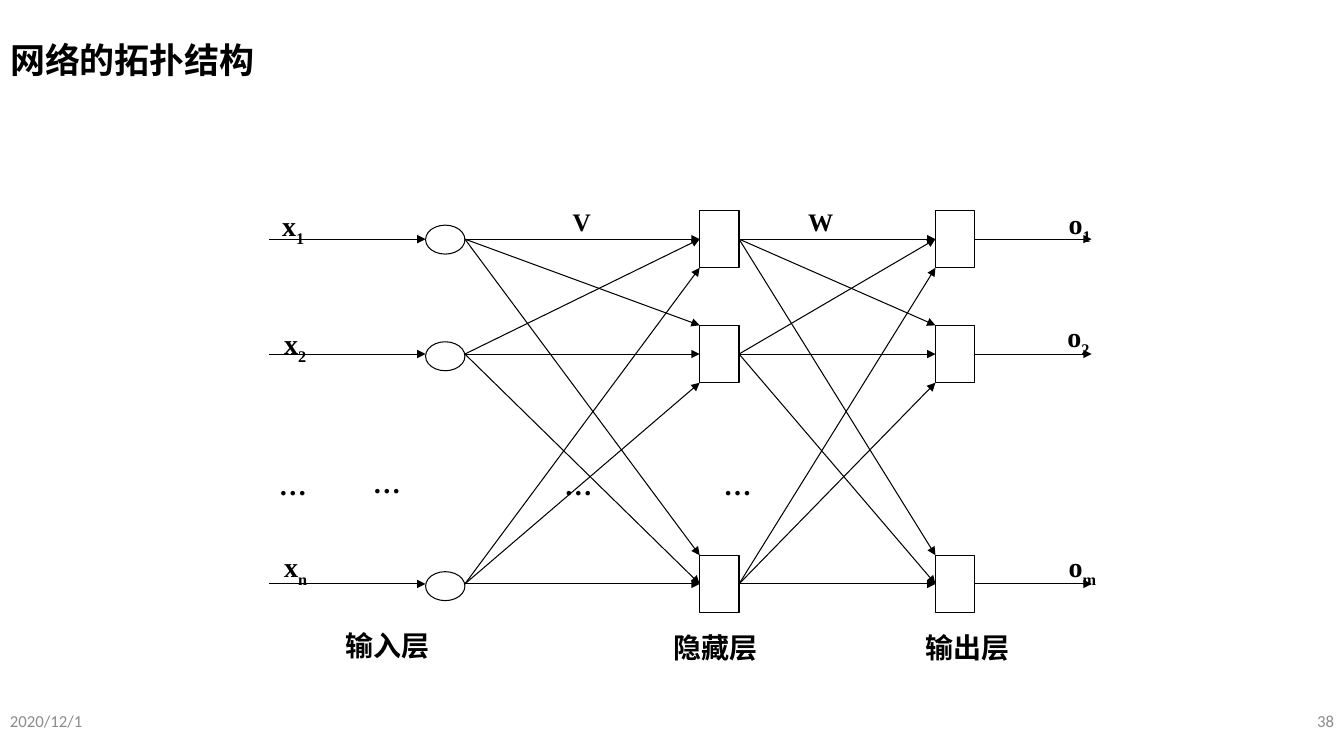
import pptx
import pptx.dml.color
import pptx.enum.shapes
import pptx.enum.text
import pptx.oxml
import pptx.oxml.ns
import pptx.util

Pt = pptx.util.Pt
SHAPE = pptx.enum.shapes.MSO_SHAPE
ALIGN = pptx.enum.text.PP_ALIGN
ANCHOR = pptx.enum.text.MSO_ANCHOR
AUTO = pptx.enum.text.MSO_AUTO_SIZE

BLACK, WHITE, GREY = "000000", "FFFFFF", "8C8C8C"
TITLE = {"name": "Times New Roman", "size": Pt(25), "bold": True}
LABEL = {"name": "Times New Roman", "size": Pt(20), "bold": True}
WEIGHT = {"name": "Times New Roman", "size": Pt(18), "bold": True}
FOOTER = {"name": "Calibri", "size": Pt(12), "bold": False}

NODE_W, NODE_H, OVAL_H = 28.1, 41, 20.7
ROW_GAP = 82.1
ROW_STEPS = (0, 1, 3)
LAYER_X = (111.8, 307.6, 476)


def rgb(color):
    return pptx.dml.color.RGBColor.from_string(color)


def set_format(target, values):
    for name, value in values.items():
        setattr(target, name, value)


def add_run(p, text, style, color=BLACK):
    r = p.add_run()
    r.text = text
    set_format(r.font, style)
    r.font.color.rgb = rgb(color)
    return r


def add_text(shapes, box, text, style, color=BLACK, sub="", align=ALIGN.LEFT, **frame):
    sp = shapes.add_textbox(*map(Pt, box))
    set_format(sp.text_frame, frame)
    p = sp.text_frame.paragraphs[0]
    p.alignment = align
    add_run(p, text, style, color)
    if sub:
        r = add_run(p, sub, style, color)
        r._r.get_or_add_rPr().set("baseline", "-30000")


def add_node(shapes, kind, x, y, w, h):
    sp = shapes.add_shape(kind, Pt(x), Pt(y), Pt(w), Pt(h))
    sp.shadow.inherit = False
    sp.fill.solid()
    sp.fill.fore_color.rgb = rgb(WHITE)
    sp.line.color.rgb = rgb(BLACK)
    sp.line.width = Pt(0.75)
    return sp


def add_arrow(shapes, x1, y1, x2, y2, start=None, end=None):
    line = shapes.add_connector(pptx.enum.shapes.MSO_CONNECTOR.STRAIGHT,
                                Pt(x1), Pt(y1), Pt(x2), Pt(y2))
    line.line.color.rgb = rgb(BLACK)
    line.line.width = Pt(0.75)
    ln = line.line._get_or_add_ln()
    pptx.oxml.ns.qn("a:tailEnd")
    head = ln.makeelement(pptx.oxml.ns.qn("a:tailEnd"), {"type": "triangle"})
    ln.append(head)
    sp_pr = line._element.spPr
    sp_pr.append(sp_pr.makeelement(pptx.oxml.ns.qn("a:effectLst"), {}))
    if start is not None:
        line.begin_connect(start, 3)
    if end is not None:
        line.end_connect(end, 1)


def add_title(s, x, y, w, h):
    sp = s.shapes.title
    set_format(sp, {"left": Pt(x), "top": Pt(y), "width": Pt(w), "height": Pt(h)})
    tf = sp.text_frame
    set_format(tf, {"vertical_anchor": ANCHOR.MIDDLE, "word_wrap": True,
                    "auto_size": AUTO.NONE})
    p = tf.paragraphs[0]
    p.alignment = ALIGN.LEFT
    add_run(p, "网络的拓扑结构", TITLE)


def add_footer(s, x, y, w, h):
    item_w = 216
    for left, text, align in ((x, "2020/12/1", ALIGN.LEFT),
                              (x + w - item_w, "38", ALIGN.RIGHT)):
        add_text(s.shapes, (left, y, item_w, h), text, FOOTER, GREY, align=align,
                 word_wrap=True, vertical_anchor=ANCHOR.MIDDLE)


def add_network(s, x, y, w):
    shapes = s.shapes.add_group_shape().shapes
    rows = [y + NODE_H / 2 + ROW_GAP * step for step in ROW_STEPS]
    layers = [x + dx for dx in LAYER_X]

    # Nodes: inputs sit slightly below their row lines
    for row, drop in zip(rows, (0.4, 1.6, 1.6)):
        add_node(shapes, SHAPE.OVAL, layers[0], row - OVAL_H / 2 + drop, NODE_W, OVAL_H)
    hidden, output = [[add_node(shapes, SHAPE.RECTANGLE, left, row - NODE_H / 2,
                                NODE_W, NODE_H) for row in rows]
                      for left in layers[1:]]

    # Arrows into the inputs and out of the outputs
    for row, node in zip(rows, output):
        add_arrow(shapes, x, row, layers[0], row)
        add_arrow(shapes, layers[2] + NODE_W, row, x + w, row, start=node)

    # Full connections: first row lands on top corners, last row on bottom corners
    for k, (sources, targets) in enumerate((([None] * 3, hidden), (hidden, output))):
        for i, source in enumerate(sources):
            for j, target in enumerate(targets):
                shift = 0 if i == j else (i - 1) * NODE_H / 2
                add_arrow(shapes, layers[k] + NODE_W, rows[i],
                          layers[k + 1], rows[j] + shift,
                          start=source, end=None if shift else target)

    # Labels, offset from the corner of the diagram
    labels = (
        (2.2, -5, 32, "x", "1"), (3.7, 79.2, 32, "x", "2"), (3.7, 238.3, 32, "x", "n"),
        (564, -6.5, 32, "o", "1"), (563.2, 74.2, 32, "o", "2"), (564, 238.3, 36, "o", "m"),
        (47.6, 295.3, 74.5, "输入层", ""), (281.6, 296.8, 74.5, "隐藏层", ""),
        (461.6, 296.8, 74.5, "输出层", ""),
        (0, 180, 34.5, "…", ""), (67, 178.6, 34.5, "…", ""),
        (203.8, 180, 34.5, "…", ""), (317.6, 180, 34.5, "…", ""),
    )
    for dx, dy, width, text, sub in labels:
        add_text(shapes, (x + dx, y + dy, width, 31.5), text, LABEL, sub=sub,
                 word_wrap=False, auto_size=AUTO.SHAPE_TO_FIT_TEXT)
    for dx, text in ((209.8, "V"), (378, "W")):
        add_text(shapes, (x + dx, y - 6.5, 48, 29), text, WEIGHT,
                 word_wrap=True, auto_size=AUTO.SHAPE_TO_FIT_TEXT)


def main():
    prs = pptx.Presentation()
    prs.slide_width, prs.slide_height = Pt(960), Pt(540)
    s = prs.slides.add_slide(prs.slide_layouts[5])
    add_footer(s, 0, 500.5, 960, 28.8)
    add_title(s, 0, 15, 864, 55)
    add_network(s, 192.2, 150.3, 587.6)
    prs.save("out.pptx")


if __name__ == "__main__":
    main()
